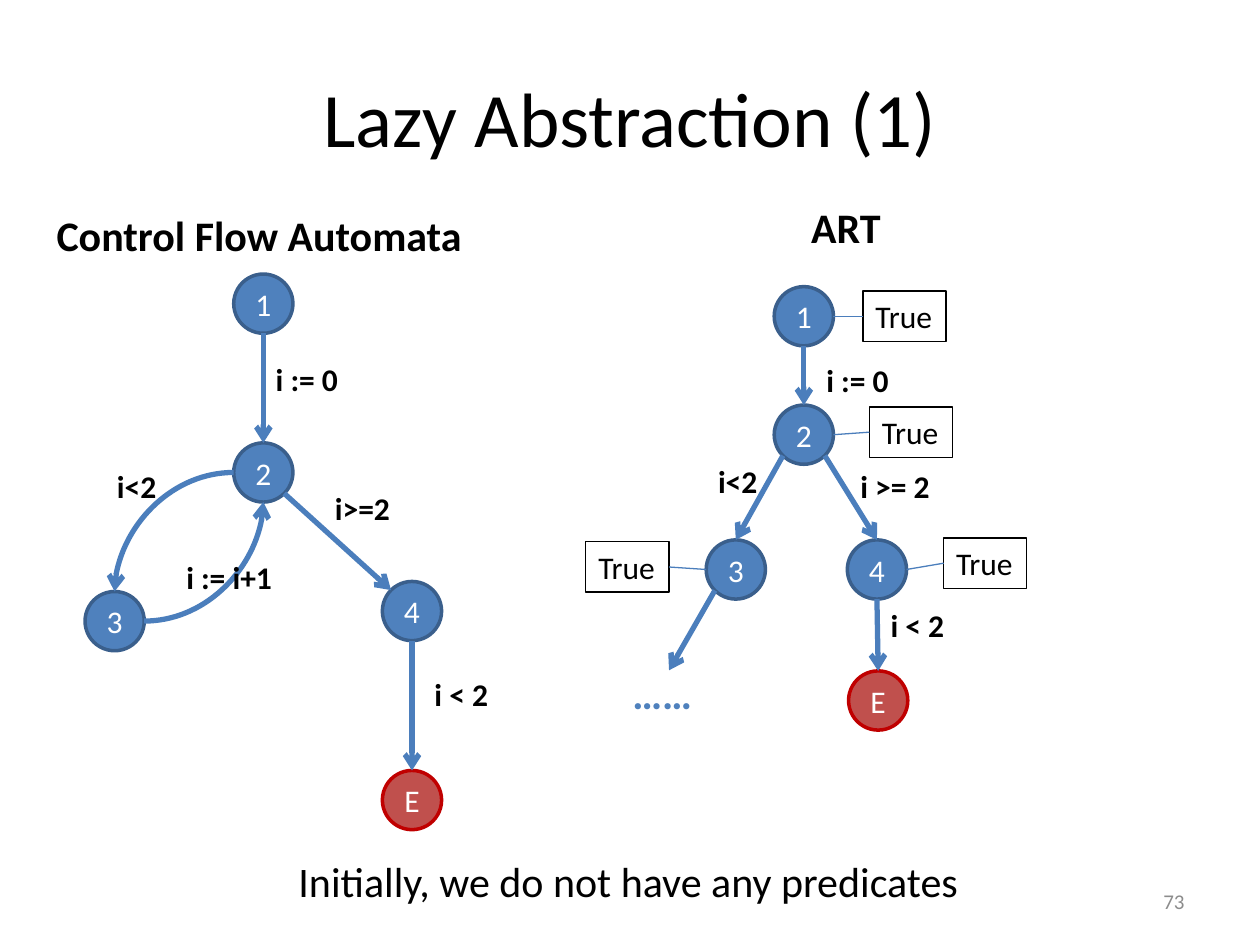
from dataclasses import dataclass
from math import cos, radians, sin
from typing import NamedTuple

from lxml import etree
from pptx import Presentation
from pptx.dml.color import RGBColor
from pptx.enum import shapes, text
from pptx.oxml import ns
from pptx.util import Inches, Pt


@dataclass(frozen=True)
class Theme:
    font: str = "Calibri"
    black: RGBColor = RGBColor(0, 0, 0)
    white: RGBColor = RGBColor(255, 255, 255)
    blue: RGBColor = RGBColor(0x4F, 0x81, 0xBD)
    blue_border: RGBColor = RGBColor(0x3A, 0x5F, 0x8C)
    edge: RGBColor = RGBColor(0x4B, 0x7E, 0xBC)
    red: RGBColor = RGBColor(0xC0, 0x50, 0x4D)
    red_border: RGBColor = RGBColor(0xC0, 0, 0)
    gray: RGBColor = RGBColor(0x8C, 0x8C, 0x8C)
    title: int = 44
    heading: int = 24
    body: int = 18
    footer: int = 12


THEME = Theme()
DIAMETER = 0.47
RIGHT, DOWN_RIGHT, DOWN, DOWN_LEFT, LEFT, UP_LEFT, UP = range(0, 315, 45)


class Point(NamedTuple):
    x: float
    y: float


class Node(NamedTuple):
    name: str
    x: float
    y: float

    def site(self, angle: int) -> Point:
        radius = DIAMETER / 2
        return Point(self.x + radius * cos(radians(angle)),
                     self.y + radius * sin(radians(angle)))


class Edge(NamedTuple):
    start: Point
    end: Point
    curved: bool = False


class Label(NamedTuple):
    words: str
    left: float
    top: float
    width: float
    height: float = 0.4
    size: int = THEME.body
    bold: bool = True
    color: RGBColor = THEME.black


class Predicate(NamedTuple):
    node: Node
    left: float
    top: float
    width: float = 0.66
    height: float = 0.4


def format_paragraph(paragraph, size: int, color: RGBColor, bold: bool = False) -> None:
    font = paragraph.font
    font.name, font.size, font.bold = THEME.font, Pt(size), bold
    font.color.rgb = color


def draw_node(slide, node: Node) -> None:
    is_error = node.name == "E"
    shape = slide.shapes.add_shape(
        shapes.MSO_SHAPE.OVAL, Inches(node.x - DIAMETER / 2), Inches(node.y - DIAMETER / 2),
        Inches(DIAMETER), Inches(DIAMETER))
    shape.shadow.inherit = False
    shape.fill.solid()
    shape.fill.fore_color.rgb = THEME.red if is_error else THEME.blue
    shape.line.color.rgb = THEME.red_border if is_error else THEME.blue_border
    shape.line.width = Pt(2)
    shape.text_frame.text = node.name
    shape.text_frame.vertical_anchor = text.MSO_ANCHOR.MIDDLE
    paragraph = shape.text_frame.paragraphs[0]
    paragraph.alignment = text.PP_ALIGN.CENTER
    format_paragraph(paragraph, THEME.body, THEME.white)


def draw_edge(slide, edge: Edge, width: float = 3, arrow: bool = True) -> None:
    kind = shapes.MSO_CONNECTOR.CURVE if edge.curved else shapes.MSO_CONNECTOR.STRAIGHT
    connector = slide.shapes.add_connector(
        kind, *(Inches(value) for value in (*edge.start, *edge.end)))
    connector.line.color.rgb = THEME.edge
    connector.line.width = Pt(width)
    properties = connector._element.spPr
    if edge.curved:
        properties.find(ns.qn("a:prstGeom")).set("prst", "curvedConnector2")
    if arrow:
        etree.SubElement(properties.find(ns.qn("a:ln")), ns.qn("a:tailEnd"), type="arrow")
    etree.SubElement(properties, ns.qn("a:effectLst"))


def draw_label(slide, label: Label):
    box = slide.shapes.add_textbox(Inches(label.left), Inches(label.top),
                                   Inches(label.width), Inches(label.height))
    box.text_frame.text = label.words
    box.text_frame.word_wrap = False
    box.text_frame.auto_size = text.MSO_AUTO_SIZE.SHAPE_TO_FIT_TEXT
    format_paragraph(box.text_frame.paragraphs[0], label.size, label.color, label.bold)
    return box


def draw_predicate(slide, predicate: Predicate) -> None:
    node, left, top, width, height = predicate
    box = draw_label(slide, Label("True", left, top, width, height, bold=False))
    box.line.color.rgb = THEME.black
    box.line.width = Pt(0.75)
    on_right = left > node.x
    side = Point(left if on_right else left + width, top + height / 2)
    draw_edge(slide, Edge(node.site(RIGHT if on_right else LEFT), side), 0.75, False)


def main() -> None:
    presentation = Presentation()
    presentation.slide_width, presentation.slide_height = Inches(10), Inches(7.5)
    slide = presentation.slides.add_slide(presentation.slide_layouts[5])

    title = slide.shapes.title
    title.left, title.top, title.width, title.height = map(Inches, (0.5, 0.3, 9, 1.25))
    title.text_frame.text = "Lazy Abstraction (1)"
    title.text_frame.vertical_anchor = text.MSO_ANCHOR.MIDDLE
    title.text_frame.paragraphs[0].alignment = text.PP_ALIGN.CENTER
    format_paragraph(title.text_frame.paragraphs[0], THEME.title, THEME.black)

    automaton = [Node("1", 2.09, 2.41), Node("2", 2.09, 3.75), Node("3", 0.91, 4.93),
                 Node("4", 3.27, 4.85), Node("E", 3.27, 6.35)]
    tree = [Node("1", 6.38, 2.51), Node("2", 6.38, 3.45), Node("3", 5.84, 4.52),
            Node("4", 6.96, 4.52), Node("E", 6.97, 5.56)]
    for node in automaton + tree:
        draw_node(slide, node)

    entry, loop, body, leave, error = automaton
    root, branch, inside, outside, failure = tree
    edges = [
        Edge(entry.site(DOWN), loop.site(UP)),
        Edge(loop.site(LEFT), body.site(UP), curved=True),
        Edge(body.site(RIGHT), loop.site(DOWN), curved=True),
        Edge(loop.site(DOWN_RIGHT), leave.site(UP_LEFT)),
        Edge(leave.site(DOWN), error.site(UP)),
        Edge(root.site(DOWN), branch.site(UP)),
        Edge(branch.site(DOWN_LEFT), inside.site(UP)),
        Edge(branch.site(DOWN_RIGHT), outside.site(UP)),
        Edge(inside.site(DOWN_LEFT), Point(5.31, 5.32)),
        Edge(outside.site(DOWN), failure.site(UP)),
    ]
    for edge in edges:
        draw_edge(slide, edge)

    for predicate in (Predicate(root, 6.85, 2.31), Predicate(branch, 6.9, 3.23),
                      Predicate(inside, 4.65, 4.3), Predicate(outside, 7.49, 4.27)):
        draw_predicate(slide, predicate)

    labels = [
        Label("Control Flow Automata", 0.35, 1.61, 3.45, 0.5, THEME.heading),
        Label("i := 0", 2.09, 2.81, 0.7),
        Label("i<2", 0.83, 3.66, 0.51),
        Label("i>=2", 2.56, 3.83, 0.64),
        Label("i := i+1", 1.38, 4.38, 0.89),
        Label("i < 2", 3.35, 5.31, 0.63),
        Label("ART", 6.34, 1.55, 0.76, 0.5, THEME.heading),
        Label("i := 0", 6.46, 2.82, 0.7),
        Label("i<2", 5.6, 3.62, 0.51),
        Label("i >= 2", 6.73, 3.66, 0.76),
        Label("i < 2", 6.97, 4.76, 0.63),
        Label("……", 4.92, 5.25, 0.68, 0.5, THEME.heading, color=THEME.blue),
        Label("Initially, we do not have any predicates", 2.27, 6.74, 5.49, 0.5,
              THEME.heading, bold=False),
    ]
    for label in labels:
        draw_label(slide, label)

    number = draw_label(slide, Label("73", 7.17, 6.95, 2.33, 0.4, THEME.footer, False, THEME.gray))
    number.text_frame.word_wrap = True
    number.text_frame.auto_size = text.MSO_AUTO_SIZE.NONE
    number.text_frame.vertical_anchor = text.MSO_ANCHOR.MIDDLE
    number.text_frame.paragraphs[0].alignment = text.PP_ALIGN.RIGHT

    presentation.save("out.pptx")


if __name__ == "__main__":
    main()
